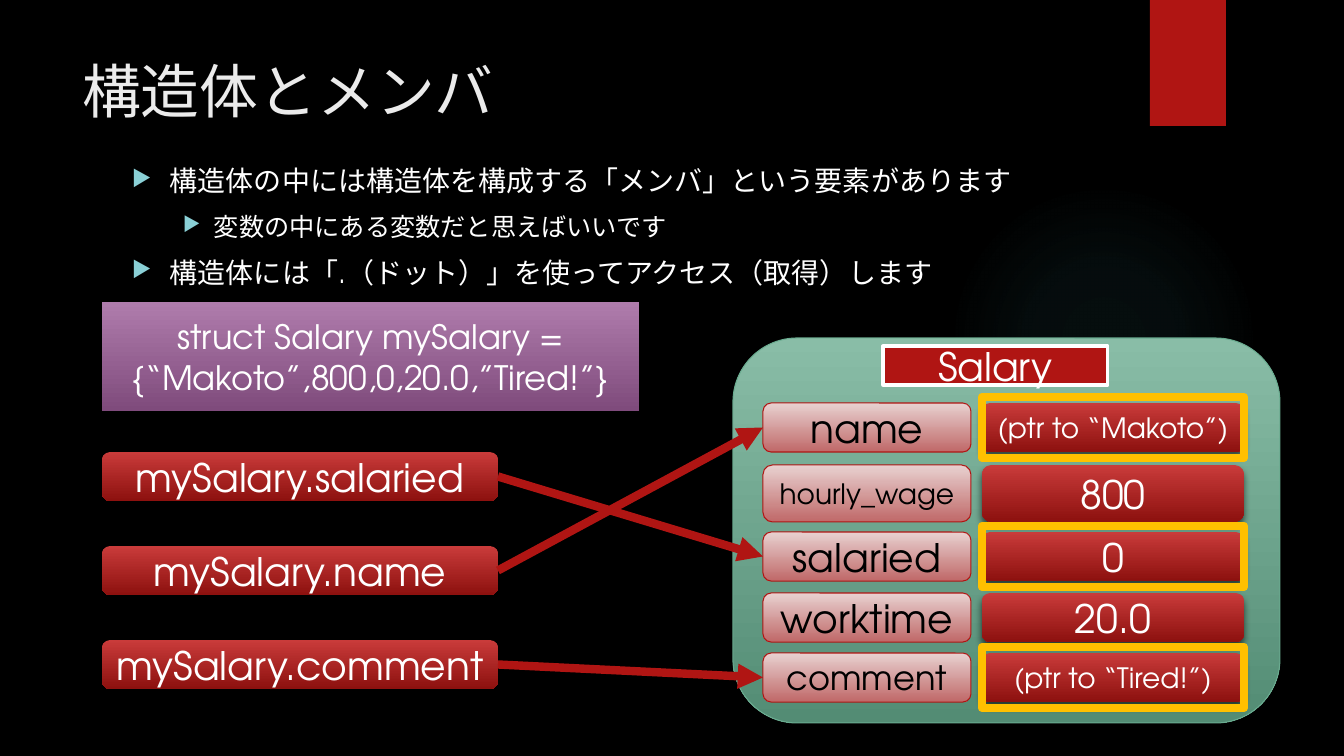
from lxml.etree import SubElement
from pptx import Presentation
from pptx.dml.color import RGBColor
from pptx.enum.lang import MSO_LANGUAGE_ID
from pptx.enum.shapes import MSO_CONNECTOR, MSO_SHAPE
from pptx.enum.text import MSO_ANCHOR, MSO_AUTO_SIZE, PP_ALIGN
from pptx.oxml import parse_xml
from pptx.oxml.ns import nsdecls, qn
from pptx.util import Emu, Pt

FONT = "TeX Gyre Adventor"
EMU_PER_PX = 914400 / 100.8
BLACK = RGBColor(0x00, 0x00, 0x00)
WHITE = RGBColor(0xFF, 0xFF, 0xFF)
TITLE_GREY = RGBColor(0xEB, 0xEB, 0xEB)
RED = RGBColor(0xB0, 0x15, 0x13)
AQUA = RGBColor(0x8A, 0xD0, 0xD6)
GLOW = RGBColor(0x50, 0xB9, 0xC1)
AMBER = RGBColor(0xFF, 0xC0, 0x00)
GREEN_LINE = RGBColor(0x6A, 0xAC, 0x90)
GREENS = (RGBColor(0x89, 0xBD, 0xA7), RGBColor(0x53, 0x8C, 0x74))
REDS = (RGBColor(0xC9, 0x3B, 0x3A), RGBColor(0x8D, 0x11, 0x0F))
PINKS = (RGBColor(0xE8, 0xD1, 0xD0), RGBColor(0xC0, 0x69, 0x69))
PURPLES = (RGBColor(0xAF, 0x7C, 0xAC), RGBColor(0x7F, 0x4B, 0x7C))
SOFT_SHADOW = (45, 3, 2)  # opacity in percent, blur and distance in points
DEEP_SHADOW = (60, 5, 3)
RIGHT_SITE, LEFT_SITE = 3, 1


def px(length):
    return Emu(round(length * EMU_PER_PX))


class SlideBuilder:
    def __init__(self, presentation):
        title_only = presentation.slide_layouts[5]
        self.slide = presentation.slides.add_slide(title_only)
        self.slide.background.fill.solid()
        self.slide.background.fill.fore_color.rgb = BLACK

    def add_run(self, paragraph, text, size, color, language=MSO_LANGUAGE_ID.ENGLISH_US):
        run = paragraph.add_run()
        run.text = text
        run.font.name = FONT
        run.font.size = Pt(size)
        run.font.color.rgb = color
        run.font.language_id = language

    def title(self, box, text):
        shape = self.slide.shapes.title
        shape.left, shape.top, shape.width, shape.height = map(px, box)
        frame = shape.text_frame
        frame.auto_size = MSO_AUTO_SIZE.NONE
        frame.vertical_anchor = MSO_ANCHOR.TOP
        paragraph = frame.paragraphs[0]
        paragraph.alignment = PP_ALIGN.LEFT
        self.add_run(paragraph, text, 42, TITLE_GREY, MSO_LANGUAGE_ID.JAPANESE)

    def bullets(self, box, items):
        frame = self.slide.shapes.add_textbox(*map(px, box)).text_frame
        frame.word_wrap = True
        for index, (level, margin, hanging, size, text) in enumerate(items):
            paragraph = frame.add_paragraph() if index else frame.paragraphs[0]
            paragraph.level = level
            if index:
                paragraph.space_before = Pt(10)
            properties = paragraph._p.get_or_add_pPr()
            properties.set("marL", str(px(margin)))
            properties.set("indent", str(-px(hanging)))
            bullet_color = SubElement(properties, qn("a:buClr"))
            SubElement(bullet_color, qn("a:srgbClr"), val=str(AQUA))
            SubElement(properties, qn("a:buSzPct"), val="80000")
            SubElement(properties, qn("a:buChar"), char="▶")
            self.add_run(paragraph, text, size, WHITE, MSO_LANGUAGE_ID.JAPANESE)

    def shape(self, kind, box, fill=None, line=None, line_width=0.75, shadow=None):
        shape = self.slide.shapes.add_shape(kind, *map(px, box))
        shape.shadow.inherit = False
        if fill is None:
            shape.fill.background()
        elif isinstance(fill, RGBColor):
            shape.fill.solid()
            shape.fill.fore_color.rgb = fill
        else:
            shape.fill.gradient()
            shape.fill.gradient_angle = 270
            for stop, color in zip(shape.fill.gradient_stops, fill):
                stop.color.rgb = color
        if line is None:
            shape.line.fill.background()
        else:
            shape.line.color.rgb = line
            shape.line.width = Pt(line_width)
        if shadow:
            self.cast_shadow(shape, *shadow)
        return shape

    def cast_shadow(self, shape, opacity, blur, distance):
        effects = shape._element.spPr.find(qn("a:effectLst"))
        outer = SubElement(effects, qn("a:outerShdw"), blurRad=str(Pt(blur)),
                           dist=str(Pt(distance)), dir="5400000", rotWithShape="0")
        color = SubElement(outer, qn("a:srgbClr"), val=str(BLACK))
        SubElement(color, qn("a:alpha"), val=str(opacity * 1000))

    def label(self, kind, box, text, size, color=WHITE, **style):
        shape = self.shape(kind, box, **style)
        frame = shape.text_frame
        frame.word_wrap = True
        frame.vertical_anchor = MSO_ANCHOR.MIDDLE
        paragraph = frame.paragraphs[0]
        paragraph.alignment = PP_ALIGN.CENTER
        self.add_run(paragraph, text, size, color)
        return shape

    def glow(self, box):
        shape = self.shape(MSO_SHAPE.OVAL, box)
        stops = "".join(
            f'<a:gs pos="{position * 1000}"><a:srgbClr val="{GLOW}">'
            f'<a:alpha val="{opacity * 1000}"/></a:srgbClr></a:gs>'
            for position, opacity in ((0, 7), (36, 6), (69, 0)))
        gradient = parse_xml(
            f'<a:gradFill {nsdecls("a")}><a:gsLst>{stops}</a:gsLst><a:path path="circle">'
            '<a:fillToRect l="50000" t="50000" r="50000" b="50000"/></a:path></a:gradFill>')
        properties = shape._element.spPr
        properties.replace(properties.find(qn("a:noFill")), gradient)

    def arrow(self, source, target):
        connector = self.slide.shapes.add_connector(MSO_CONNECTOR.STRAIGHT, 0, 0, 0, 0)
        connector.begin_connect(source, RIGHT_SITE)
        connector.end_connect(target, LEFT_SITE)
        connector.line.color.rgb = RED
        connector.line.width = Pt(6)
        SubElement(connector.line._get_or_add_ln(), qn("a:tailEnd"), type="triangle")
        SubElement(connector._element.spPr, qn("a:effectLst"))


def main():
    presentation = Presentation()
    presentation.slide_width, presentation.slide_height = px(1344), px(756)
    builder = SlideBuilder(presentation)
    rounded, rectangle = MSO_SHAPE.ROUNDED_RECTANGLE, MSO_SHAPE.RECTANGLE

    # Backdrop
    builder.glow((949, 184, 310, 310))
    builder.shape(rectangle, (1150, 0, 76, 126), fill=RED, shadow=SOFT_SHADOW)

    # Title and explanation
    builder.title((72, 50, 1037, 154), "構造体とメンバ")
    builder.bullets((122, 159, 986, 135), [
        (0, 38, 38, 20, "構造体の中には構造体を構成する「メンバ」という要素があります"),
        (1, 82, 31, 18, "変数の中にある変数だと思えばいいです"),
        (0, 38, 38, 20, "構造体には「.（ドット）」を使ってアクセス（取得）します"),
    ])

    # Structure panel: name, name size, value, value size, top, height, accessed
    builder.shape(rounded, (733, 338, 547, 385), fill=GREENS, line=GREEN_LINE,
                  shadow=SOFT_SHADOW)
    builder.label(rectangle, (883, 346, 225, 39), "Salary", 28, fill=RED,
                  line=WHITE, line_width=2.25)
    members = [
        ("name", 28, "(ptr to “Makoto”)", 20, 403, 49, True),
        ("hourly_wage", 20, "800", 28, 465, 57, False),
        ("salaried", 28, "0", 28, 532, 49, True),
        ("worktime", 28, "20.0", 28, 593, 49, False),
        ("comment", 24, "(ptr to “Tired!”)", 20, 653, 49, True),
    ]
    fields = {}
    for name, name_size, value, value_size, top, height, accessed in members:
        builder.label(rounded, (982, top, 262, height), value, value_size,
                      fill=REDS, shadow=DEEP_SHADOW)
        fields[name] = builder.label(rounded, (763, top, 208, height), name, name_size,
                                     BLACK, fill=PINKS, line=RED)
        if accessed:
            builder.shape(rectangle, (982, top - 6, 262, height + 12),
                          line=AMBER, line_width=6)

    # Declaration
    builder.label(rectangle, (102, 302, 537, 109),
                  "struct Salary mySalary = {“Makoto”,800,0,20.0,”Tired!”}", 24,
                  fill=PURPLES, shadow=DEEP_SHADOW)

    # Member access, each pointing at its field
    for index, name in enumerate(("salaried", "name", "comment")):
        access = builder.label(rounded, (102, 452 + 94 * index, 396, 49),
                               f"mySalary.{name}", 28, fill=REDS, shadow=DEEP_SHADOW)
        builder.arrow(access, fields[name])

    presentation.save("out.pptx")


if __name__ == "__main__":
    main()
